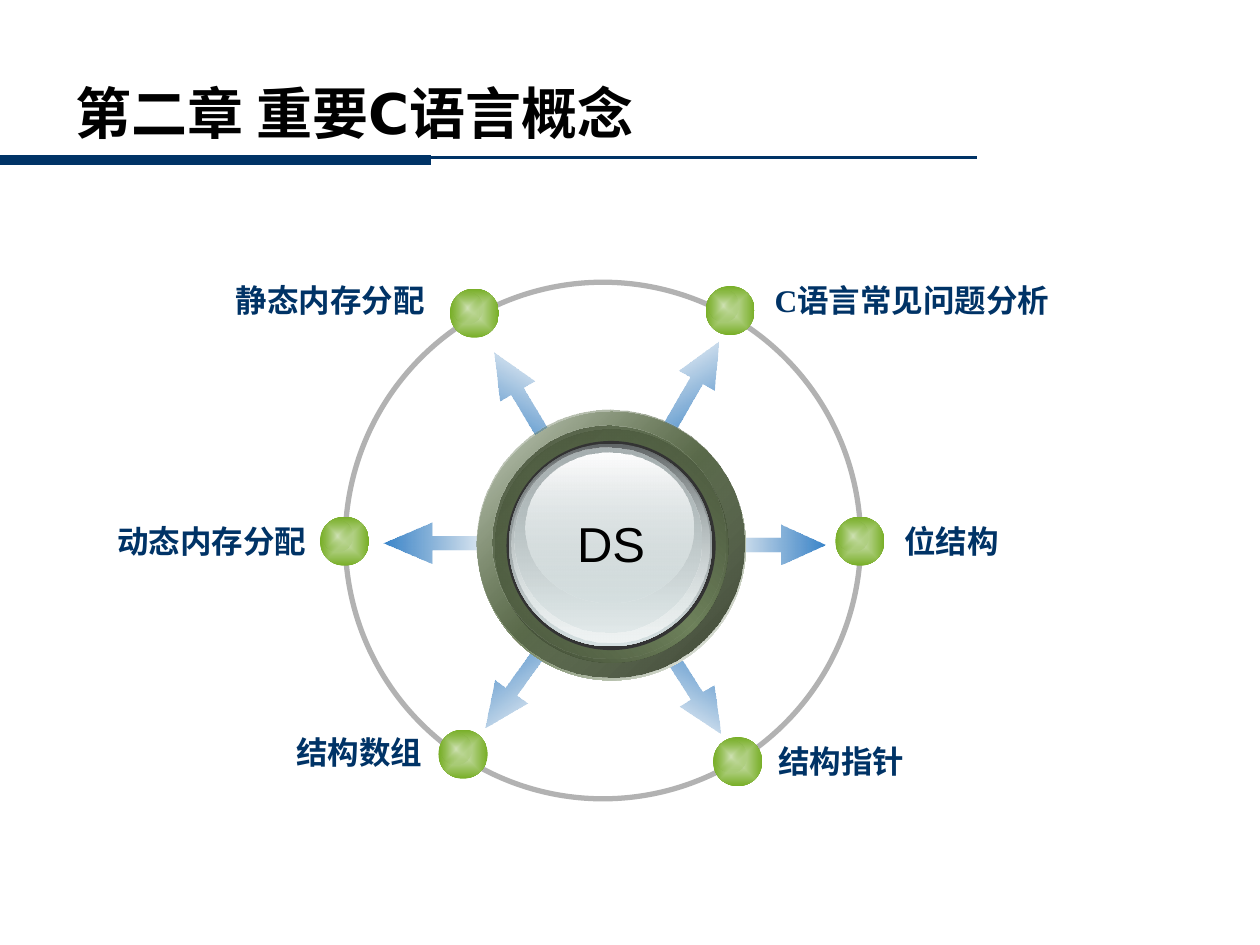
"""Build the chapter overview slide: a central hub with six topics around it."""
from lxml import etree
from pptx import Presentation
from pptx.dml.color import RGBColor
from pptx.enum.shapes import MSO_CONNECTOR, MSO_SHAPE
from pptx.enum.text import MSO_ANCHOR, MSO_AUTO_SIZE, PP_ALIGN
from pptx.oxml import parse_xml
from pptx.oxml.ns import nsdecls, qn
from pptx.util import Inches, Pt

OVAL, ARROW = MSO_SHAPE.OVAL, MSO_SHAPE.RIGHT_ARROW
STRAIGHT = MSO_CONNECTOR.STRAIGHT
LEFT, CENTER, RIGHT = PP_ALIGN.LEFT, PP_ALIGN.CENTER, PP_ALIGN.RIGHT
MIDDLE = MSO_ANCHOR.MIDDLE
FIT_TEXT = MSO_AUTO_SIZE.SHAPE_TO_FIT_TEXT

COLORS = {
    "navy": "003366", "black": "000000", "orbit": "B2B2B2", "rim": "333333",
    "arrow": "3984C9", "arrow_end": "3275B2",
    "leaf_light": "D0E2B5", "leaf": "77AE26",
    "white": "FEFEFE", "olive": "6E815B", "olive_dark": "323B29",
    "olive_deep": "3B4531", "olive_shade": "455139",
    "steel": "626768", "steel_light": "A8B1B2", "glass": "D6E1E2", "pearl": "EFF3F3",
}


def add_gradient_shape(shapes, kind, box, stops, angle=None):
    shape = shapes.add_shape(kind, *[Inches(value) for value in box])
    shape.shadow.inherit = False
    shape.line.fill.background()
    shape.fill.background()
    stop_xml = "".join(
        f'<a:gs pos="{position * 1000}"><a:srgbClr val="{COLORS[color]}">'
        f'<a:alpha val="{alpha * 1000}"/></a:srgbClr></a:gs>'
        for position, color, alpha in stops)
    if angle is None:
        direction = ('<a:path path="rect"><a:fillToRect l="50000" t="50000" '
                     'r="50000" b="50000"/></a:path>')
    else:
        direction = f'<a:lin ang="{angle * 60000}" scaled="1"/>'
    gradient = parse_xml(f'<a:gradFill {nsdecls("a")} rotWithShape="0">'
                         f'<a:gsLst>{stop_xml}</a:gsLst>{direction}</a:gradFill>')
    properties = shape._element.spPr
    properties.replace(properties.find(qn("a:noFill")), gradient)
    return shape


def add_text(box, runs, size, color, bold, alignment):
    text_box = slide.shapes.add_textbox(*[Inches(value) for value in box])
    text_frame = text_box.text_frame
    text_frame.word_wrap = False
    text_frame.auto_size = FIT_TEXT
    paragraph = text_frame.paragraphs[0]
    paragraph.alignment = alignment
    for text, font_name in runs:
        run = paragraph.add_run()
        run.text = text
        run.font.name = font_name
        run.font.size = Pt(size)
        run.font.bold = bold
        run.font.color.rgb = RGBColor.from_string(COLORS[color])
    return text_frame


presentation = Presentation()
presentation.slide_width = Inches(10)
presentation.slide_height = Inches(7.5)
slide = presentation.slides.add_slide(presentation.slide_layouts[6])

for end, top, width in [(7.75, 1.25, 1.5), (3.42, 1.27, 6)]:
    rule = slide.shapes.add_connector(
        STRAIGHT, Inches(0), Inches(top), Inches(end), Inches(top))
    rule.line.color.rgb = RGBColor.from_string(COLORS["navy"])
    rule.line.width = Pt(width)
    etree.SubElement(rule._element.spPr, qn("a:effectLst"))

title_frame = add_text((0.5, 0.58, 8.42, 0.62), [("第二章 重要C语言概念", "DejaVu Sans")],
                       32, "black", True, LEFT)
title_frame.auto_size = MSO_AUTO_SIZE.NONE
title_frame.word_wrap = True
title_frame.vertical_anchor = MIDDLE

arrows = [
    (5.05, 2.93, 0.87, 299.6, 240),
    (5.05, 5.29, 0.87, 57.8, 122),
    (3.71, 3.01, 0.87, 239.5, 300),
    (3.67, 5.26, 0.87, 125.6, 54),
    (5.68, 4.16, 0.87, 0, 180),
    (3.04, 4.15, 0.94, 180, 0),
]
for left, top, length, rotation, angle in arrows:
    arrow = add_gradient_shape(slide.shapes, ARROW, (left, top, length, 0.32),
                               [(0, "arrow", 100), (100, "arrow_end", 0)], angle)
    arrow.rotation = rotation
    arrow.adjustments[0] = 0.35
    arrow.adjustments[1] = 1.11 if length < 0.9 else 1.21

orbit = slide.shapes.add_shape(OVAL, Inches(2.74), Inches(2.24), Inches(4.09), Inches(4.1))
orbit.shadow.inherit = False
orbit.fill.background()
orbit.line.color.rgb = RGBColor.from_string(COLORS["orbit"])
orbit.line.width = Pt(3)

beads = [(3.57, 2.29), (2.54, 4.1), (3.48, 5.79), (5.6, 2.27), (6.63, 4.1), (5.66, 5.85)]
for left, top in beads:
    bead = slide.shapes.add_group_shape()
    add_gradient_shape(bead.shapes, OVAL, (left, top, 0.39, 0.39),
                       [(0, "leaf_light", 100), (100, "leaf", 100)])
    add_gradient_shape(bead.shapes, OVAL, (left + 0.02, top + 0.03, 0.24, 0.25),
                       [(0, "leaf_light", 100), (100, "leaf", 0)])

hub_rings = [
    ((3.79, 3.27, 2.13, 2.13),
     [(0, "white", 100), (50, "olive", 100), (100, "white", 100)], 225),
    ((3.78, 3.25, 2.13, 2.13), [(0, "olive_dark", 100), (100, "olive", 32)], 225),
    ((3.93, 3.41, 1.85, 1.85),
     [(0, "olive_deep", 100), (50, "olive", 100), (100, "olive_deep", 100)], 135),
    ((3.91, 3.38, 1.85, 1.85), [(0, "olive", 0), (100, "olive_shade", 100)], 225),
    ((4.02, 3.5, 1.66, 1.66), [(0, "rim", 100), (100, "rim", 100)], 90),
    ((4.04, 3.52, 1.61, 1.61), [(0, "steel", 100), (100, "glass", 100)], 90),
    ((4.06, 3.53, 1.57, 1.57), [(0, "glass", 0), (100, "pearl", 100)], 90),
    ((4.08, 3.55, 1.49, 1.47), [(0, "steel_light", 100), (100, "glass", 48)], 90),
    ((4.17, 3.59, 1.33, 1.19), [(0, "white", 100), (100, "glass", 38)], 90),
]
for box, stops, angle in hub_rings:
    ring = add_gradient_shape(slide.shapes, OVAL, box, stops, angle)
    if stops[0][1] == "rim":
        ring.fill.solid()
        ring.fill.fore_color.rgb = RGBColor.from_string(COLORS["rim"])

add_text((4.48, 4.03, 0.74, 0.57), [("DS", "Arial")], 28, "black", False, CENTER)

topics = [
    (6.05, 2.18, 2.44, [("C语言", "Times New Roman"), ("常见问题分析", "Arial")], LEFT),
    (1.77, 2.18, 1.7, [("静态内存分配", "Arial")], RIGHT),
    (7.08, 4.09, 0.95, [("位结构", "Arial")], LEFT),
    (6.08, 5.84, 1.2, [("结构指针", "Arial")], LEFT),
    (0.83, 4.09, 1.7, [("动态内存分配", "Arial")], RIGHT),
    (2.25, 5.77, 1.2, [("结构数组", "Arial")], RIGHT),
]
for left, top, width, runs, alignment in topics:
    add_text((left, top, width, 0.4), runs, 18, "navy", True, alignment)

presentation.save("out.pptx")
